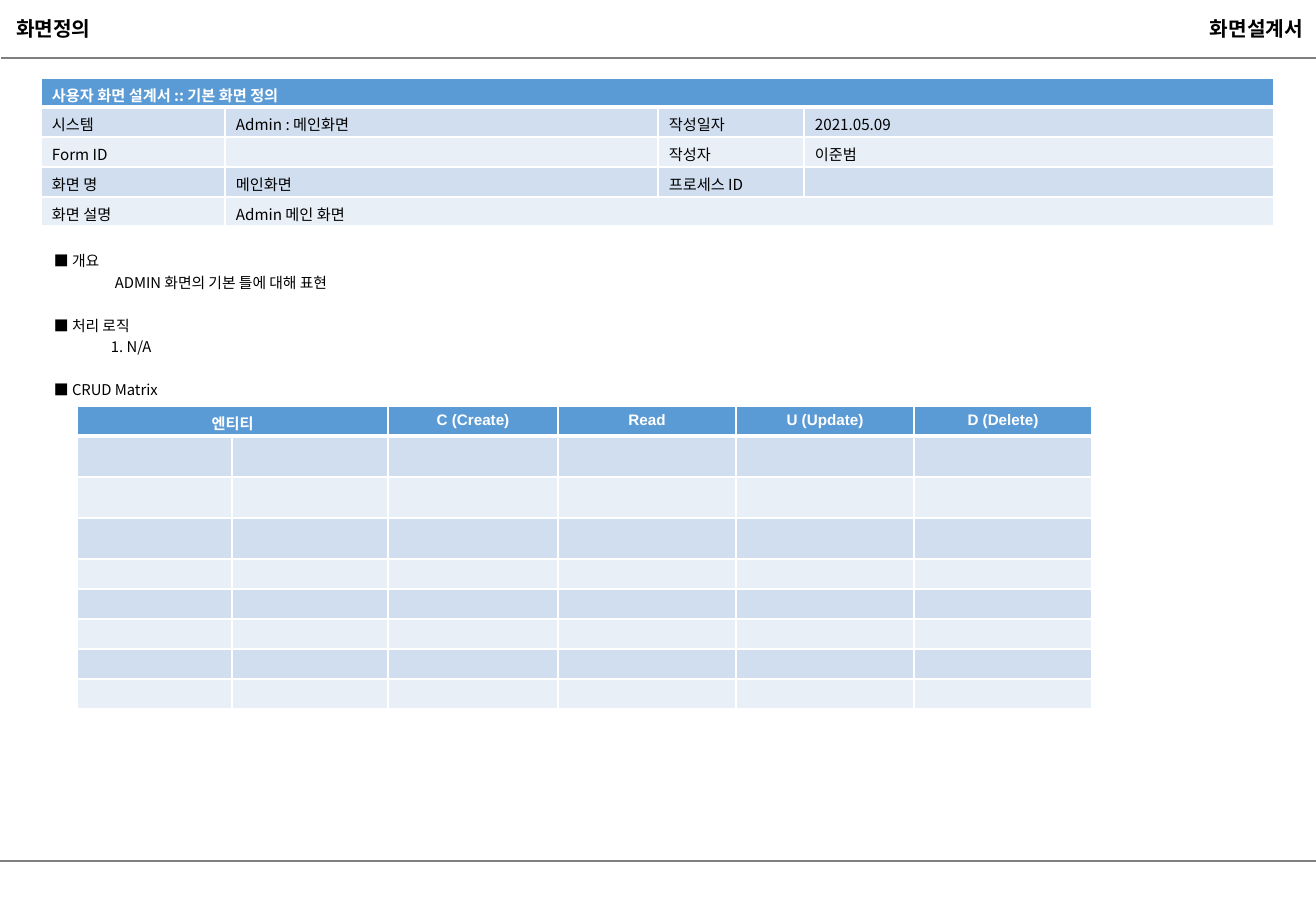
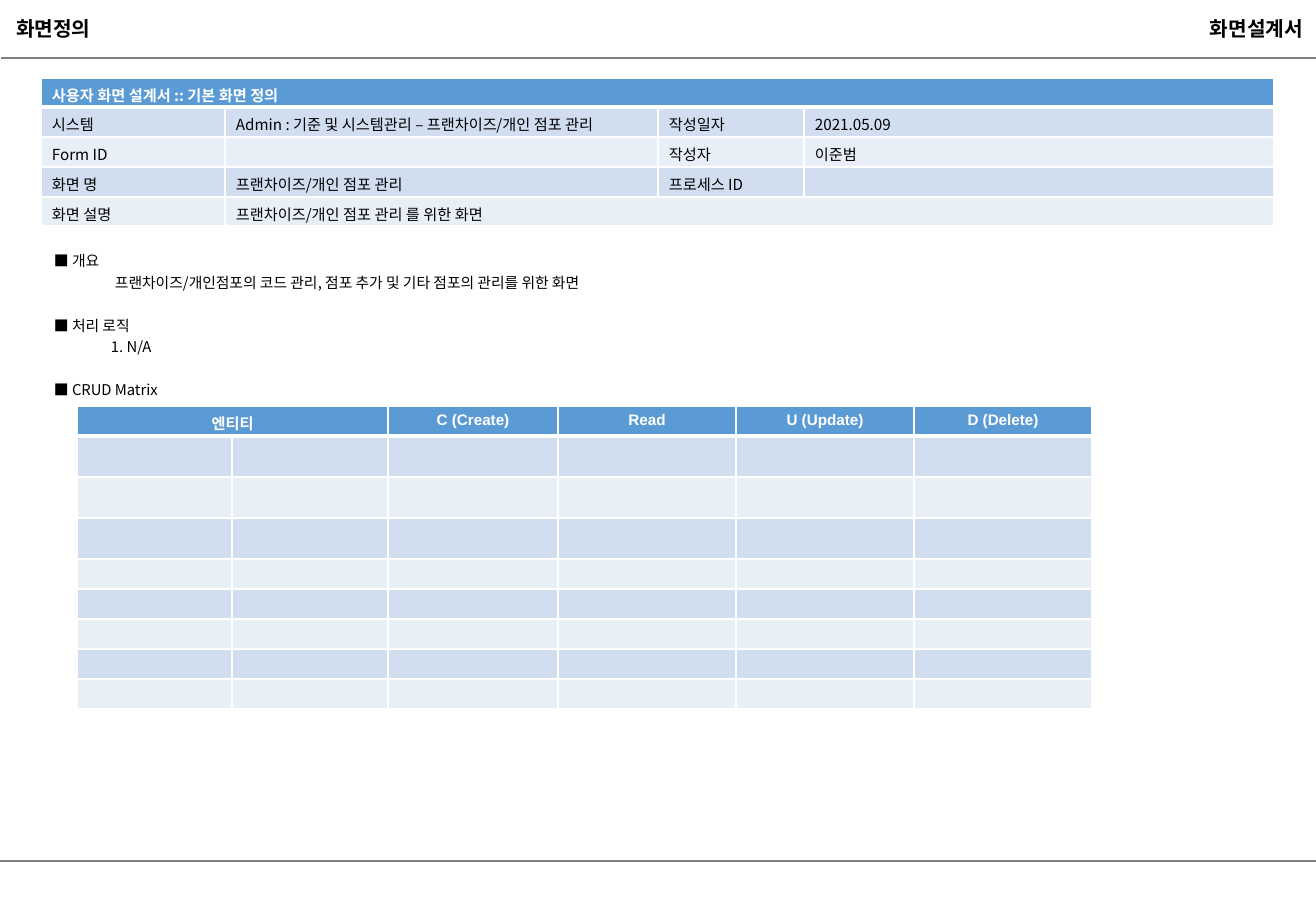
from pptx import Presentation
from pptx.dml.color import RGBColor as RGB
from pptx.enum.shapes import MSO_CONNECTOR as LINE
from pptx.enum.text import MSO_ANCHOR as ANCHOR, PP_ALIGN as ALIGN
from pptx.oxml.ns import qn
from pptx.util import Emu, Pt
from lxml.etree import SubElement, Element

HUE = {"head": "5B9BD5", "odd": "D0DEEF", "even": "E9EFF7",
       "white": "FFFFFF", "black": "000000", "rule": "7F7F7F"}
NOTO, ARIAL = "Noto Sans CJK KR", "Arial"
WIDE, HIGH = 1316, 911
TITLE, DOC = "화면정의", "화면설계서"
INFO_HEAD = "사용자 화면 설계서 :: 기본 화면 정의"
DATE, AUTHOR = "2021.05.09", "이준범"
CRUD_HEAD = ["엔티티", "", "C (Create)", "Read", "U (Update)", "D (Delete)"]
INFO_COLS, INFO_ROWS = [184, 433, 146, 470], [29, 30, 30, 30, 29]
CRUD_COLS = [155, 156] + [170] + [178] * 3
CRUD_ROWS = [30] + [41] * 3 + [30] * 5
SCREENS = [
    {"system": "Admin : 메인화면",
     "name": "메인화면",
     "about": "Admin 메인 화면",
     "goal": "ADMIN 화면의 기본 틀에 대해 표현"},
    {"system": "Admin : 기준 및 시스템관리 – 프랜차이즈/개인 점포 관리",
     "name": "프랜차이즈/개인 점포 관리",
     "about": "프랜차이즈/개인 점포 관리 를 위한 화면",
     "goal": "프랜차이즈/개인점포의 코드 관리, 점포 추가 및 기타 점포의 관리를 위한 화면"},
]


def px(n):
    """Turn pixels into EMU."""
    return Emu(round(n * 914400 / 121.5))


def style(para, size, hue="black", bold=False, face=NOTO, align=ALIGN.LEFT):
    """Set the font and alignment of a paragraph."""
    font = para.font
    font.size, font.bold, font.name = Pt(size), bold, face
    font.color.rgb = RGB.from_string(HUE[hue])
    latin = para._p.pPr.find(qn("a:defRPr")).find(qn("a:latin"))
    asian = Element(qn("a:ea"), typeface=NOTO)
    latin.addnext(asian)
    para.alignment = align


def rule(slide, left, top):
    """Draw a thin line to the right edge."""
    line = slide.shapes.add_connector(LINE.STRAIGHT, px(left), px(top), px(WIDE), px(top))
    line.line.color.rgb = RGB.from_string(HUE["rule"])
    line.line.width = Pt(0.75)
    SubElement(line._element.spPr, qn("a:effectLst"))


def label(shape, text, align):
    """Fill one of the two page labels."""
    frame = shape.text_frame
    frame.text = text
    frame.word_wrap = True
    frame.vertical_anchor = ANCHOR.MIDDLE
    style(frame.paragraphs[0], 12, bold=True, align=align)


def frame_page(slide):
    """Place the title, document name and rules."""
    rule(slide, 0, 861)
    rule(slide, 1, 58)
    title = slide.shapes.title
    title.left, title.top, title.width, title.height = map(px, (4, 10, 106, 37))
    label(title, TITLE, ALIGN.LEFT)
    label(slide.shapes.add_textbox(*map(px, (942, 10, 373, 37))), DOC, ALIGN.RIGHT)


def edge(cell, row):
    """Give a cell white borders, thick under the header."""
    props = cell._tc.get_or_add_tcPr()
    for i, side in enumerate("LRTB"):
        thick = (row, side) in ((0, "B"), (1, "T"))
        line = Element(qn("a:ln" + side), w=str(Pt(3 if thick else 1)))
        fill = SubElement(line, qn("a:solidFill"))
        SubElement(fill, qn("a:srgbClr"), val=HUE["white"])
        props.insert(i, line)


def grid(slide, left, top, cols, rows, data, spans, pad, face, align):
    """Add a table with a header row and banded body."""
    table = slide.shapes.add_table(len(rows), len(cols), px(left), px(top),
                                   px(sum(cols)), px(sum(rows))).table
    table.horz_banding = False
    for col, width in zip(table.columns, cols):
        col.width = px(width)
    for r, height in enumerate(rows):
        table.rows[r].height = px(height)
        band = "head" if r == 0 else "odd" if r % 2 else "even"
        for c, text in enumerate(data[r]):
            cell = table.cell(r, c)
            cell.margin_left = cell.margin_right = px(pad)
            cell.margin_top, cell.margin_bottom = px(6), 0
            cell.fill.solid()
            cell.fill.fore_color.rgb = RGB.from_string(HUE[band])
            edge(cell, r)
            cell.text = text
            para = cell.text_frame.paragraphs[0]
            style(para, 9, "black" if r else "white", r == 0, face, align)
            if not text:
                para._p.get_or_add_endParaRPr().set("sz", "900")
    for r, start, stop in spans:
        table.cell(r, start).merge(table.cell(r, stop))


def notes(slide, goal):
    """Write the overview, logic and matrix headings."""
    box = slide.shapes.add_textbox(*map(px, (42, 242, 1234, 160)))
    frame = box.text_frame
    frame.word_wrap = True
    lines = [("■ 개요", 0, 0), (goal, 61, 0), ("■ 처리 로직", 0, 1),
             ("1. N/A", 57, 0), ("■ CRUD Matrix", 0, 1)]
    for i, (text, indent, gap) in enumerate(lines):
        para = frame.add_paragraph() if i else frame.paragraphs[0]
        para.text = text
        style(para, 8.8)
        para.line_spacing = Pt(12.75)
        para.space_before = Pt(12.75 * gap)
        if indent:
            para.level = 1
            para._p.pPr.set("marL", str(px(indent)))
            para._p.pPr.set("indent", "0")


def build(deck, screen):
    """Build the definition page of one screen."""
    slide = deck.slides.add_slide(deck.slide_layouts[5])
    frame_page(slide)
    info = [[INFO_HEAD, "", "", ""],
            ["시스템", screen["system"], "작성일자", DATE],
            ["Form ID", "", "작성자", AUTHOR],
            ["화면 명", screen["name"], "프로세스 ID", ""],
            ["화면 설명", screen["about"], "", ""]]
    grid(slide, 41, 78, INFO_COLS, INFO_ROWS, info,
         [(0, 0, 3), (4, 1, 3)], 11, NOTO, ALIGN.LEFT)
    notes(slide, screen["goal"])
    crud = [CRUD_HEAD] + [[""] * len(CRUD_COLS)] * (len(CRUD_ROWS) - 1)
    grid(slide, 77, 406, CRUD_COLS, CRUD_ROWS, crud,
         [(0, 0, 1)], 12, ARIAL, ALIGN.CENTER)


deck = Presentation()
deck.slide_width, deck.slide_height = px(WIDE), px(HIGH)
for screen in SCREENS:
    build(deck, screen)
deck.save("out.pptx")
